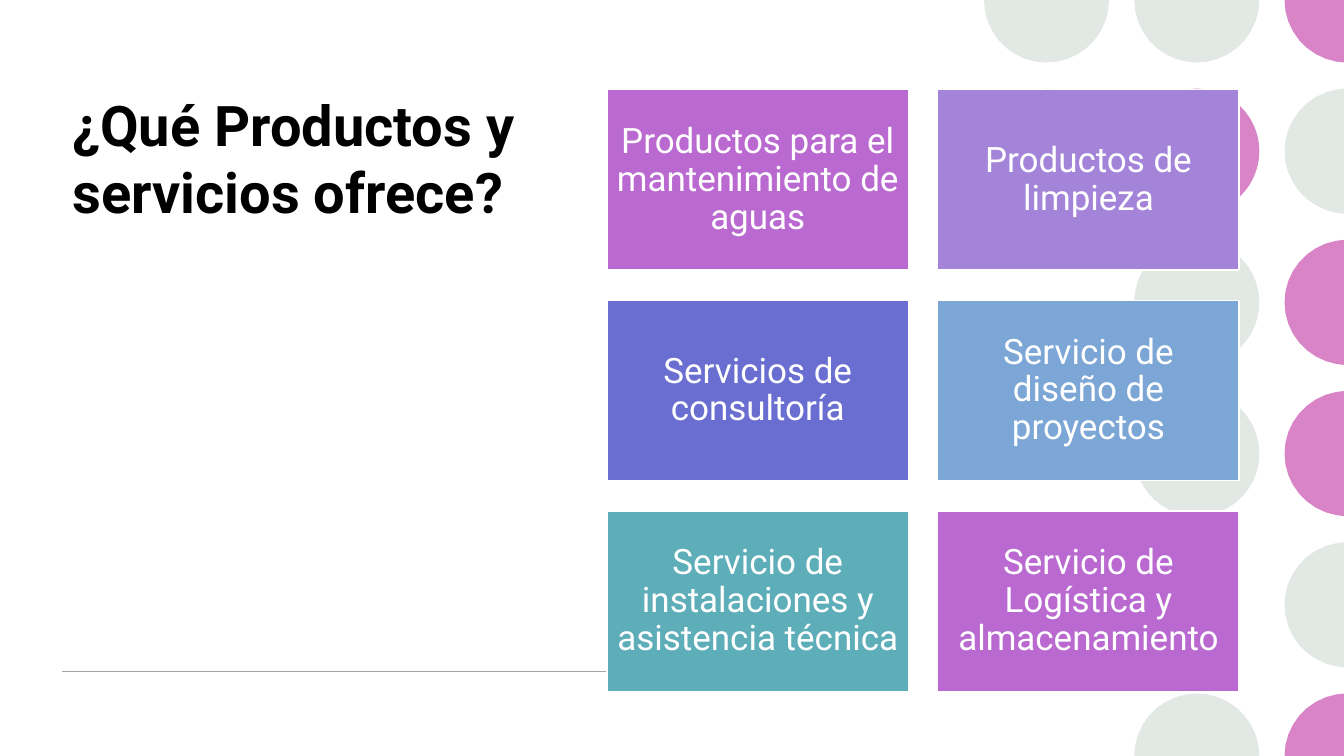
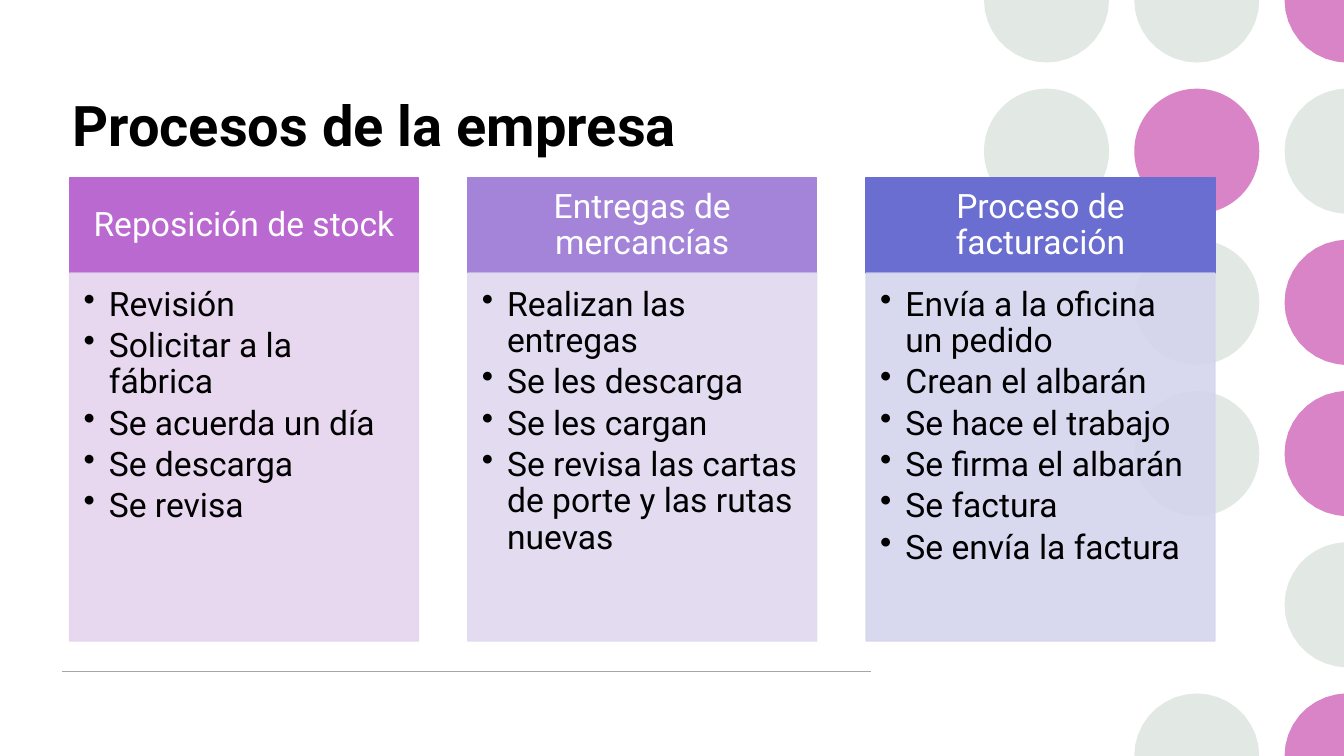
"""Build two slides on the products and processes of a company."""
from dataclasses import dataclass
from math import cos, sin, tau

from lxml.etree import SubElement
from pptx import Presentation
from pptx.dml.color import RGBColor
from pptx.enum.shapes import MSO_CONNECTOR, MSO_SHAPE
from pptx.enum.text import MSO_ANCHOR, PP_ALIGN
from pptx.oxml.ns import qn
from pptx.util import Inches, Pt


@dataclass(frozen=True)
class Theme:
    """Colours, font and type sizes."""
    font: str = "Roboto"
    ink: str = "000000"
    paper: str = "FFFFFF"
    rule: str = "A6A6A6"
    grey: str = "E2E8E3"
    pink: str = "D884C7"
    orchid: str = "B969D0"
    violet: str = "A384D8"
    indigo: str = "696ED0"
    blue: str = "7CA6D5"
    teal: str = "5DAEB9"
    rose: str = "E6D4EE"
    lilac: str = "E0D9F0"
    mist: str = "D4D5EE"
    title: int = 40
    card: int = 25
    body: int = 24


T = Theme()
WIDE, HIGH = 13.33, 7.5

DOTS = ["GGP", "GPG", " GP", " GP", "  G", " GP"]
TINTS = {"G": T.grey, "P": T.pink}

OFFER = "¿Qué Productos y servicios ofrece?"
CARDS = [
    ("Productos para el mantenimiento de aguas", T.orchid),
    ("Productos de limpieza", T.violet),
    ("Servicios de consultoría", T.indigo),
    ("Servicio de diseño de proyectos", T.blue),
    ("Servicio de instalaciones y asistencia técnica", T.teal),
    ("Servicio de Logística y almacenamiento", T.orchid),
]

FLOW = "Procesos de la empresa"
STEPS = [
    ("Reposición de stock", T.orchid, T.rose,
     ["Revisión", "Solicitar a la fábrica", "Se acuerda un día",
      "Se descarga", "Se revisa"]),
    ("Entregas de mercancías", T.violet, T.lilac,
     ["Realizan las entregas", "Se les descarga", "Se les cargan",
      "Se revisa las cartas de porte y las rutas nuevas"]),
    ("Proceso de facturación", T.indigo, T.mist,
     ["Envía a la oficina un pedido", "Crean el albarán",
      "Se hace el trabajo", "Se firma el albarán", "Se factura",
      "Se envía la factura"]),
]


def write(shape, lines, size=T.body, color=T.ink, bold=False, center=False,
          space=1.0, after=0, pad=(0.1, 0.05, 0.1, 0.05), bullet=None):
    """Fill a shape with formatted paragraphs."""
    frame = shape.text_frame
    frame.word_wrap = True
    frame.vertical_anchor = MSO_ANCHOR.MIDDLE if center else MSO_ANCHOR.TOP
    (frame.margin_left, frame.margin_top,
     frame.margin_right, frame.margin_bottom) = map(Inches, pad)
    for i, line in enumerate(lines):
        para = frame.add_paragraph() if i else frame.paragraphs[0]
        para.alignment = PP_ALIGN.CENTER if center else PP_ALIGN.LEFT
        para.line_spacing, para.space_after = space, Pt(after)
        run = para.add_run()
        run.text = line
        font = run.font
        font.name, font.size, font.bold = T.font, Pt(size), bold
        font.color.rgb = RGBColor.from_string(color)
        if bullet:
            props = para._p.get_or_add_pPr()
            props.set("marL", str(Inches(0.25)))
            props.set("indent", str(-Inches(0.25)))
            SubElement(props, qn("a:buChar"), char=bullet)


def paint(shape, fill, line=None, alpha=None):
    """Set fill, outline and opacity in percent."""
    shape.shadow.inherit = False
    shape.fill.solid()
    shape.fill.fore_color.rgb = RGBColor.from_string(fill)
    if line:
        shape.line.color.rgb = RGBColor.from_string(line)
        shape.line.width = Pt(1)
    else:
        shape.line.fill.background()
    if alpha:
        for tint in shape.element.spPr.iter(qn("a:srgbClr")):
            SubElement(tint, qn("a:alpha"), val=str(alpha * 1000))


def block(slide, x, y, w, h, fill, line, alpha=None):
    """Add a painted rectangle."""
    box = slide.shapes.add_shape(MSO_SHAPE.RECTANGLE, *map(Inches, (x, y, w, h)))
    paint(box, fill, line, alpha)
    return box


def trim(x, y, r, count=36):
    """Return the rim of a disc, cut at the slide edge."""
    rim = []
    for i in range(count):
        px = x + r * cos(tau * i / count)
        py = y + r * sin(tau * i / count)
        inside = px <= WIDE and 0 <= py <= HIGH
        if inside or i % (count // 4) == 0:
            rim.append((Inches(min(px, WIDE)), Inches(min(max(py, 0), HIGH))))
    return rim


def dot(slide, x, y, fill, r=0.62):
    """Add a disc, cut where it meets the slide edge."""
    if x <= WIDE - r and r <= y <= HIGH - r:
        disc = slide.shapes.add_shape(
            MSO_SHAPE.OVAL, *map(Inches, (x - r, y - r, 2 * r, 2 * r)))
    else:
        first, *rest = trim(x, y, r)
        pen = slide.shapes.build_freeform(*first)
        pen.add_line_segments(rest, close=True)
        disc = pen.convert_to_shape()
    paint(disc, fill)


def start(deck, title, width):
    """Add a slide with dots, rule and title."""
    slide = deck.slides.add_slide(deck.slide_layouts[6])
    for row, marks in enumerate(DOTS):
        for col, mark in enumerate(marks):
            if mark in TINTS:
                dot(slide, 10.38 + 1.49 * col, 1.5 * row, TINTS[mark])
    rule = slide.shapes.add_connector(
        MSO_CONNECTOR.STRAIGHT, *map(Inches, (0.62, 6.66, 8.64, 6.66)))
    rule.line.color.rgb = RGBColor.from_string(T.rule)
    rule.line.width = Pt(1)
    SubElement(rule.element.spPr, qn("a:effectLst"))
    head = slide.shapes.add_textbox(*map(Inches, (0.62, 0.85, width, 1.39)))
    write(head, [title], size=T.title, bold=True)
    return slide


def offer(deck):
    """Lay the cards out in two columns."""
    slide = start(deck, OFFER, 5.2)
    for i, (label, fill) in enumerate(CARDS):
        row, col = divmod(i, 2)
        card = block(slide, 6.02 + 3.28 * col, 0.89 + 2.09 * row, 2.99, 1.79,
                     fill, T.paper)
        write(card, [label], size=T.card, color=T.paper, center=True,
              space=0.9, pad=(0.1, 0.1, 0.1, 0.1))


def flow(deck):
    """Lay the processes out as headed columns."""
    slide = start(deck, FLOW, 8.02)
    for i, (label, fill, tint, steps) in enumerate(STEPS):
        x = 0.69 + 3.95 * i
        head = block(slide, x, 1.76, 3.46, 0.95, fill, fill)
        write(head, [label], color=T.paper, center=True, space=0.9,
              pad=(0.19, 0.11, 0.19, 0.11))
        body = block(slide, x, 2.71, 3.46, 3.65, tint, tint, alpha=90)
        write(body, steps, space=0.9, after=3.6, bullet="•",
              pad=(0.14, 0.14, 0.19, 0.21))


deck = Presentation()
deck.slide_width, deck.slide_height = Inches(WIDE), Inches(HIGH)
offer(deck)
flow(deck)
deck.save("out.pptx")
